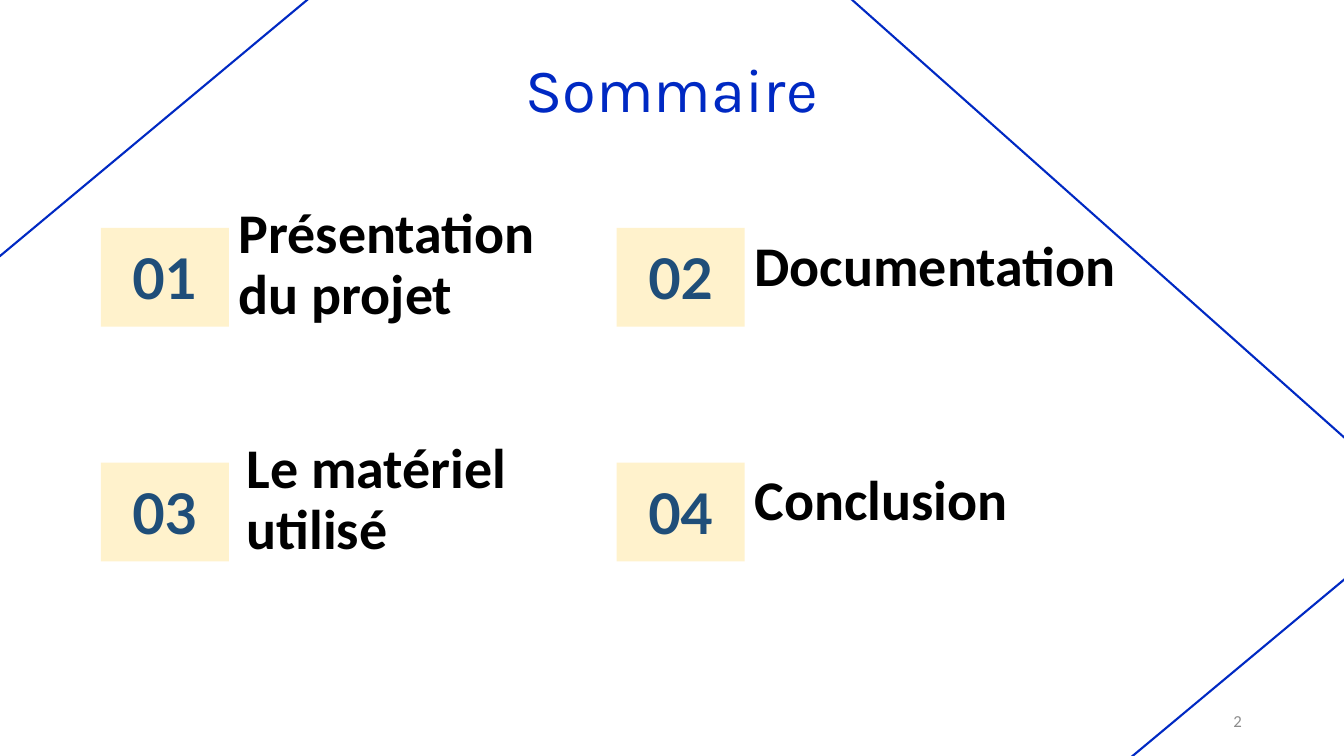
from dataclasses import dataclass

from lxml.etree import SubElement
from pptx import Presentation
from pptx.dml.color import RGBColor as Rgb
from pptx.enum.shapes import MSO_CONNECTOR as Link, MSO_SHAPE as Kind
from pptx.enum.text import MSO_ANCHOR as Anchor, MSO_AUTO_SIZE as Fit, PP_ALIGN as Align
from pptx.oxml.ns import qn
from pptx.util import Cm, Pt


@dataclass(frozen=True)
class Theme:
    blue: str = "0029C3"
    cream: str = "FFF2CC"
    navy: str = "1F4E79"
    black: str = "000000"
    grey: str = "8C8C8C"
    head: int = 44
    item: int = 40
    note: int = 12


THEME = Theme()
PAD = 0.25


def write(shape, text, face, size, color, bold=False, align=Align.LEFT,
          anchor=Anchor.MIDDLE, pad=PAD):
    frame = shape.text_frame
    frame.text = text
    frame.word_wrap = True
    frame.auto_size = Fit.NONE
    frame.vertical_anchor = anchor
    frame.margin_left = frame.margin_right = Cm(pad)
    frame.margin_top = frame.margin_bottom = Cm(pad)
    para = frame.paragraphs[0]
    para.alignment = align
    font = para.font
    font.name, font.size, font.bold = face, Pt(size), bold
    font.color.rgb = Rgb.from_string(color)
    return para


def add_title(slide, box, text):
    title = slide.shapes.title
    title.left, title.top, title.width, title.height = map(Cm, box)
    para = write(title, text, "Karla", THEME.head, THEME.blue,
                 align=Align.CENTER, pad=0.13)
    para.line_spacing = 0.9


def add_entry(slide, box, number, text, shift, rise):
    """Numbered badge on the left of the box, its label on the right."""
    left, top, width, height = box
    side = 3.23

    # Badge
    badge = slide.shapes.add_shape(
        Kind.RECTANGLE, Cm(left), Cm(top), Cm(side), Cm(height))
    badge.shadow.inherit = False
    badge.fill.solid()
    badge.fill.fore_color.rgb = Rgb.from_string(THEME.cream)
    badge.line.fill.background()
    write(badge, f"{number:02}", "Lato", THEME.item, THEME.navy,
          bold=True, align=Align.CENTER)

    # Label
    label = slide.shapes.add_textbox(
        Cm(left + side + shift), Cm(top - rise), Cm(width - side), Cm(1.65))
    para = write(label, text, "Calibri", THEME.item, THEME.black,
                 bold=True, anchor=Anchor.TOP)
    para.line_spacing = 0.9


def add_agenda(slide, box, entries):
    """Two columns of entries, filled row by row."""
    left, top, width, height = box
    gap, drop, tall = 13, 5.92, height - 5.92
    for index, (text, shift, rise) in enumerate(entries):
        row, col = divmod(index, 2)
        x = left + col * gap
        wide = width - gap if col else 11.74
        add_entry(slide, (x, top + row * drop, wide, tall),
                  index + 1, text, shift, rise)


def add_lines(slide, lines):
    for ends in lines:
        line = slide.shapes.add_connector(Link.STRAIGHT, *map(Cm, ends))
        line.line.color.rgb = Rgb.from_string(THEME.blue)
        line.line.width = Pt(1.5)
        SubElement(line._element.spPr, qn("a:effectLst"))


def add_number(slide, box, text):
    note = slide.shapes.add_textbox(*map(Cm, box))
    write(note, text, "Calibri", THEME.note, THEME.grey, align=Align.RIGHT)


def main():
    deck = Presentation()
    deck.slide_width, deck.slide_height = Cm(33.87), Cm(19.05)
    slide = deck.slides.add_slide(deck.slide_layouts[5])

    add_title(slide, (11.99, 1.3, 9.88, 2.08), "Sommaire")
    # Text, shift to the right, rise above the badge
    add_agenda(slide, (2.54, 5.74, 26.01, 8.41), [
        ("Présentation du projet", 0, 0.81),
        ("Documentation", 0, 0),
        ("Le matériel utilisé", 0.2, 0.81),
        ("Conclusion", 0, 0),
    ])
    # Diagonals across the corners
    add_lines(slide, [
        (-0.61, 6.96, 8.23, -0.41),
        (26.01, 21.16, 34.85, 13.79),
        (20.68, -0.71, 34.85, 11.89),
    ])
    add_number(slide, (23.93, 17.65, 7.62, 1.02), "2")

    deck.save("out.pptx")


if __name__ == "__main__":
    main()
